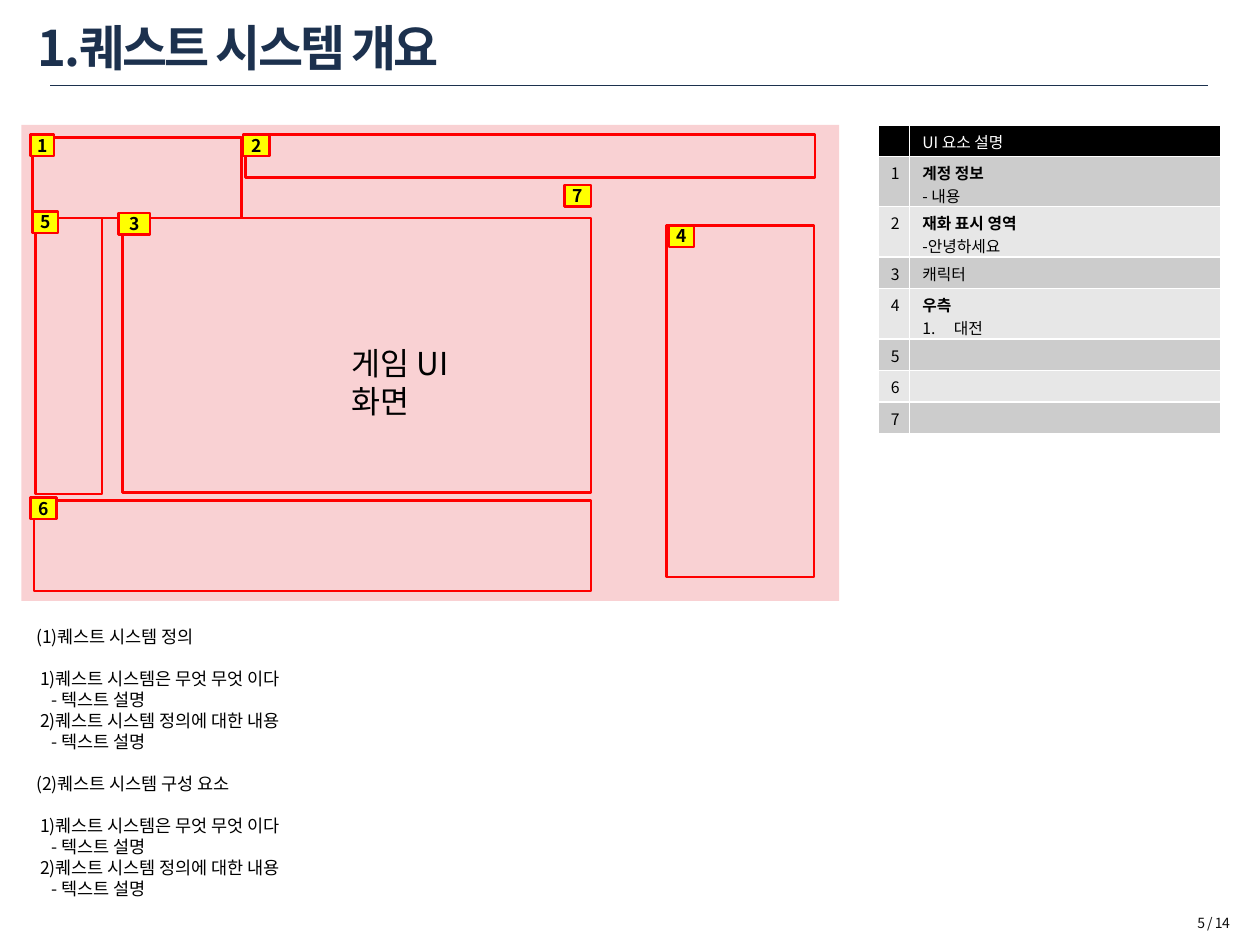
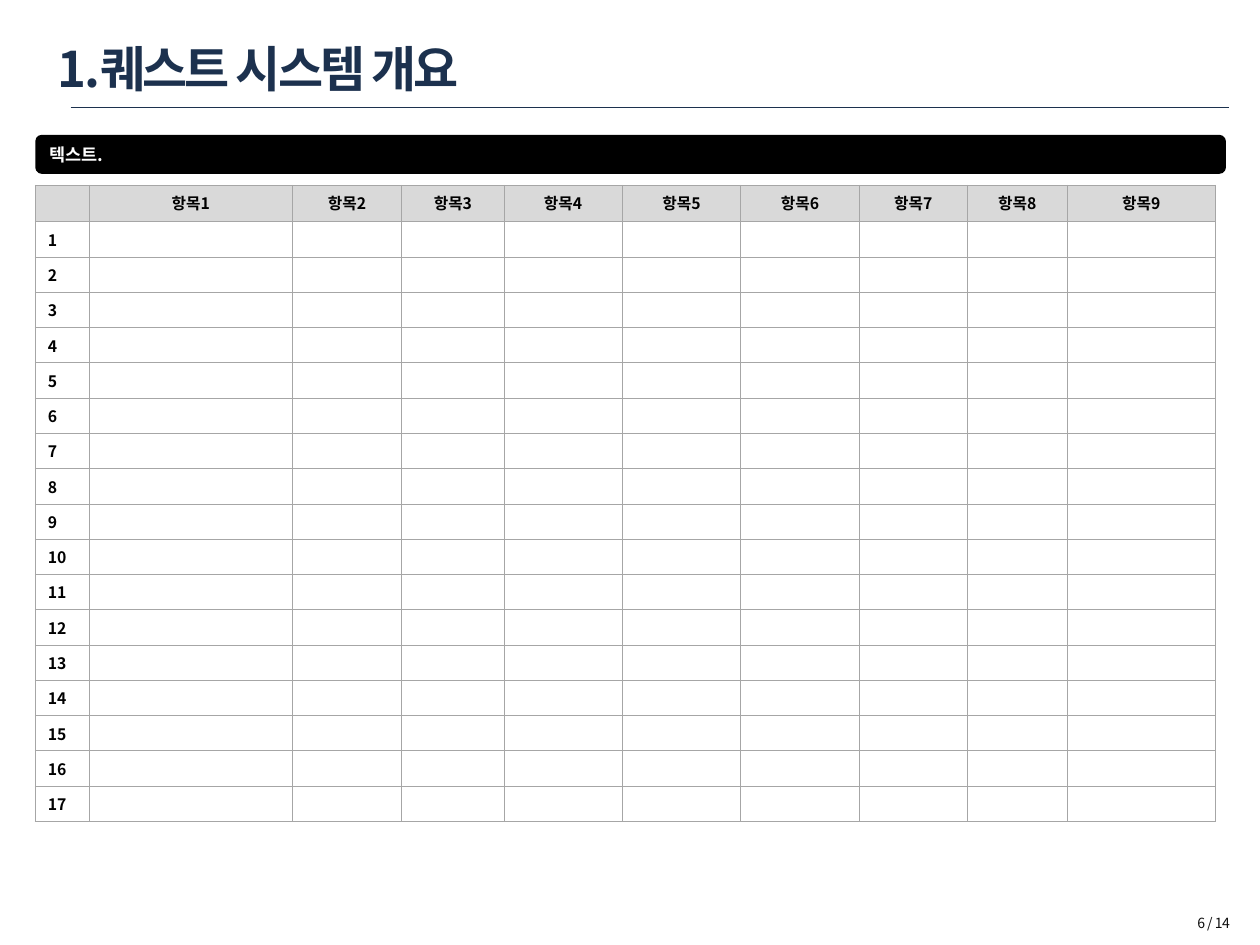
from collections import namedtuple
from itertools import product

from pptx import Presentation
from pptx import util as u
from pptx.dml.color import RGBColor
from pptx.enum import shapes, text
from pptx.oxml import parse_xml
from pptx.oxml.ns import nsdecls, qn
from pptx.oxml.xmlchemy import OxmlElement

COLUMNS, ROWS = 1000, 750  # slide grid
CELL = u.Inches(0.01)
FONT = "Noto Sans CJK KR"
COLORS = {
    "navy": "1C314E", "black": "000000", "white": "FFFFFF", "footer": "0D0D0D",
    "canvas": "F9D1D3", "red": "FF0000", "yellow": "FFFF00",
    "band_dark": "CCCCCC", "band_light": "E7E7E7",
    "header_gray": "D9D9D9", "border_gray": "A6A6A6",
}
PAGE_COUNT = 14
TITLE = "1.퀘스트 시스템 개요"

Box = namedtuple("Box", "left top width height")
Part = namedtuple("Part", "number badge area")

# Offsets from the corner of the game canvas; a badge is left, top, width.
PARTS = [
    Part("1", (7, 8, 19), Box(9, 10, 166, 64)),
    Part("2", (176, 8, 21), Box(178, 8, 452, 34)),
    Part("6", (7, 296, 21), Box(10, 298, 442, 72)),
    Part("4", (514, 80, 20), Box(512, 80, 117, 279)),
    Part("3", (77, 70, 25), Box(80, 74, 372, 218)),
    Part("5", (9, 69, 20), Box(11, 74, 53, 219)),
    Part("7", (431, 48, 21), None),
]
ELEMENTS = [
    ["계정 정보", "- 내용"], ["재화 표시 영역", "-안녕하세요"], ["캐릭터"],
    ["우측", "대전"], [], [], [],
]
SECTIONS = ["(1)퀘스트 시스템 정의", "(2)퀘스트 시스템 구성 요소"]
SECTION_LINES = [
    ("1)퀘스트 시스템은 무엇 무엇 이다", 3), ("- 텍스트 설명", 12),
    ("2)퀘스트 시스템 정의에 대한 내용", 3), ("- 텍스트 설명", 12),
]
ITEM_WIDTHS = [43, 161, 87, 81, 94, 94, 94, 86, 79, 118]
ITEM_ROWS = 17


def color(name):
    return RGBColor.from_string(COLORS[name])


def emu(box):
    return [round(value * CELL) for value in box]


def inside(outer, box):
    return Box(outer.left + box.left, outer.top + box.top, box.width, box.height)


def add_span(para, words, size, ink="black", bold=False, spacing=None):
    span = para.add_run()
    span.text = words
    span.font.name = FONT
    span.font.size = u.Pt(size)
    span.font.bold = bold
    span.font.color.rgb = color(ink)
    props = span._r.get_or_add_rPr()
    east_asian = OxmlElement("a:ea")
    east_asian.set("typeface", FONT)
    props.find(qn("a:latin")).addnext(east_asian)
    if spacing is not None:
        props.set("spc", str(round(spacing * 100)))


def indent(para, left, hanging=0):
    props = para._p.get_or_add_pPr()
    props.set("marL", str(round(left * CELL)))
    props.set("indent", str(round(-hanging * CELL)))
    return props


def add_frame(page, box):
    frame = page.shapes.add_textbox(*emu(box)).text_frame
    frame.word_wrap = True
    return frame


def set_leading(para, size):
    para.line_spacing = u.Pt(size * 1.2)


def add_label(page, box, words, size, align=None, **style):
    para = add_frame(page, box).paragraphs[0]
    para.alignment = align
    set_leading(para, size)
    add_span(para, words, size, **style)
    return para


def add_block(page, box, fill=None, line=None, kind=shapes.MSO_SHAPE.RECTANGLE):
    block = page.shapes.add_shape(kind, *emu(box))
    block.shadow.inherit = False
    if fill:
        block.fill.solid()
        block.fill.fore_color.rgb = color(fill)
    else:
        block.fill.background()
    if line:
        block.line.color.rgb = color(line)
        block.line.width = u.Pt(1.5)
    else:
        block.line.fill.background()
    return block


def add_page(deck, number, box):
    """Add a page with its title in the box, a rule under it and the page number."""
    page = deck.slides.add_slide(deck.slide_layouts[5])
    title = page.shapes.title
    title.left, title.top, title.width, title.height = emu(box)
    frame = title.text_frame
    frame.auto_size = text.MSO_AUTO_SIZE.NONE
    frame.vertical_anchor = text.MSO_ANCHOR.MIDDLE
    frame.paragraphs[0].alignment = text.PP_ALIGN.LEFT
    add_span(frame.paragraphs[0], TITLE, 28, "navy", True, -1.5)

    left, top = box.left + 20, box.top + 63
    rule = page.shapes.add_connector(
        shapes.MSO_CONNECTOR.STRAIGHT, *emu((left, top, left + 919, top)))
    rule.line.color.rgb = color("navy")
    rule.line.width = u.Pt(0.25)
    rule._element.spPr.append(OxmlElement("a:effectLst"))

    add_label(page, Box(813, 721, 173, 24), f"{number} / {PAGE_COUNT}", 8,
              text.PP_ALIGN.RIGHT, ink="footer", spacing=-0.3)
    return page


def style_cell(cell, fill, border, width):
    cell.fill.solid()
    cell.fill.fore_color.rgb = color(fill)
    props = cell._tc.get_or_add_tcPr()
    for index, side in enumerate(("lnL", "lnR", "lnT", "lnB")):
        props.insert(index, parse_xml(
            f'<a:{side} {nsdecls("a")} w="{u.Pt(width)}"><a:solidFill>'
            f'<a:srgbClr val="{COLORS[border]}"/></a:solidFill></a:{side}>'))
    cell.text_frame.paragraphs[0]._p.get_or_add_endParaRPr().set("sz", "900")


def add_grid(page, left, top, widths, heights, fill_of_row, border, width):
    """Add a table whose row fills come from fill_of_row(row)."""
    box = Box(left, top, sum(widths), sum(heights))
    table = page.shapes.add_table(len(heights), len(widths), *emu(box)).table
    table.first_row = table.horz_banding = False
    for column, size in zip(table.columns, widths):
        column.width = size * CELL
    for row, size in zip(table.rows, heights):
        row.height = size * CELL
    for row, column in product(range(len(heights)), range(len(widths))):
        style_cell(table.cell(row, column), fill_of_row(row), border, width)
    return table


def draw_wireframe(page, canvas):
    add_block(page, canvas, "canvas")
    for part in PARTS:
        if part.area:
            add_block(page, inside(canvas, part.area), line="red")
        left, top, width = part.badge
        badge = inside(canvas, Box(left, top, width, 17))
        add_block(page, badge, "yellow", "red")
        label = Box(badge.left + badge.width / 2 - 18, badge.top - 5, 36, 27)
        add_label(page, label, part.number, 10, text.PP_ALIGN.CENTER, bold=True)
    caption = add_label(page, inside(canvas, Box(252, 169, 155, 40)), "게임 UI", 18)
    caption.add_line_break()
    add_span(caption, "화면", 18)


def draw_element_table(page, left, top):
    heights = [25] + [40 if len(lines) > 1 else 25 for lines in ELEMENTS]

    def band(row):
        return "black" if row == 0 else ("band_light", "band_dark")[row % 2]

    table = add_grid(page, left, top, [25, 247], heights, band, "white", 1)
    for cell in table.iter_cells():
        cell.margin_top, cell.margin_bottom = u.Inches(0.04), 0
    add_span(table.cell(0, 1).text_frame.paragraphs[0], "UI 요소 설명", 9, "white")
    for number, lines in enumerate(ELEMENTS, 1):
        add_span(table.cell(number, 0).text_frame.paragraphs[0], str(number), 9)
        frame = table.cell(number, 1).text_frame
        for index, line in enumerate(lines):
            para = frame.add_paragraph() if index else frame.paragraphs[0]
            add_span(para, line, 9, bold=index == 0 and len(lines) > 1)
            if line == "대전":
                numbering = OxmlElement("a:buAutoNum")
                numbering.set("type", "arabicPeriod")
                indent(para, 25, 25).append(numbering)


def draw_description(page, box):
    frame = add_frame(page, box)
    for section, heading in enumerate(SECTIONS):
        for index, (line, left) in enumerate([(heading, 0)] + SECTION_LINES):
            first = section == index == 0
            para = frame.paragraphs[0] if first else frame.add_paragraph()
            set_leading(para, 10)
            if index < 2 and not first:
                para.space_before = u.Pt(12)
            indent(para, left)
            add_span(para, line, 10)


def draw_banner(page, box):
    banner = add_block(page, box, "black", kind=shapes.MSO_SHAPE.ROUNDED_RECTANGLE)
    frame = banner.text_frame
    frame.vertical_anchor = text.MSO_ANCHOR.MIDDLE
    frame.paragraphs[0].alignment = text.PP_ALIGN.LEFT
    add_span(frame.paragraphs[0], "텍스트.", 10, "white", True)


def draw_item_table(page, left, top):
    table = add_grid(page, left, top, ITEM_WIDTHS, [29] + [28] * ITEM_ROWS,
                     lambda row: "white" if row else "header_gray", "border_gray", 0.5)
    for column in range(1, len(ITEM_WIDTHS)):
        para = table.cell(0, column).text_frame.paragraphs[0]
        para.alignment = text.PP_ALIGN.CENTER
        add_span(para, f"항목{column}", 9, bold=True)
    for row in range(1, ITEM_ROWS + 1):
        add_span(table.cell(row, 0).text_frame.paragraphs[0], str(row), 9, bold=True)


def main():
    deck = Presentation()
    deck.slide_width, deck.slide_height = COLUMNS * CELL, ROWS * CELL

    overview = add_page(deck, 5, Box(20, 5, 765, 64))
    draw_wireframe(overview, Box(17, 99, 649, 378))
    draw_element_table(overview, 697, 99)
    draw_description(overview, Box(19, 492, 239, 229))

    items = add_page(deck, 6, Box(36, 22, 765, 64))
    draw_banner(items, Box(28, 107, 945, 31))
    draw_item_table(items, 28, 147)

    deck.save("out.pptx")


if __name__ == "__main__":
    main()
